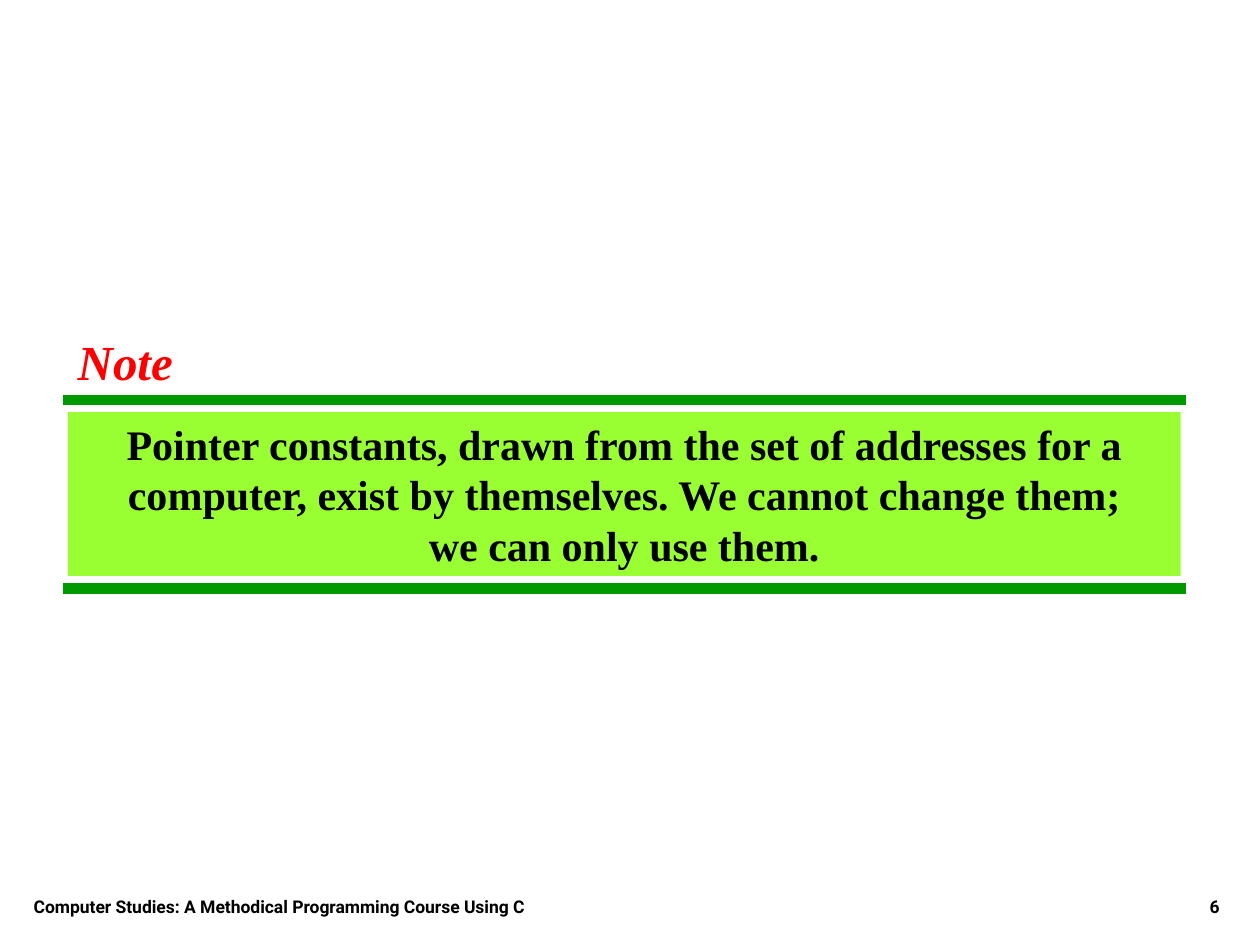
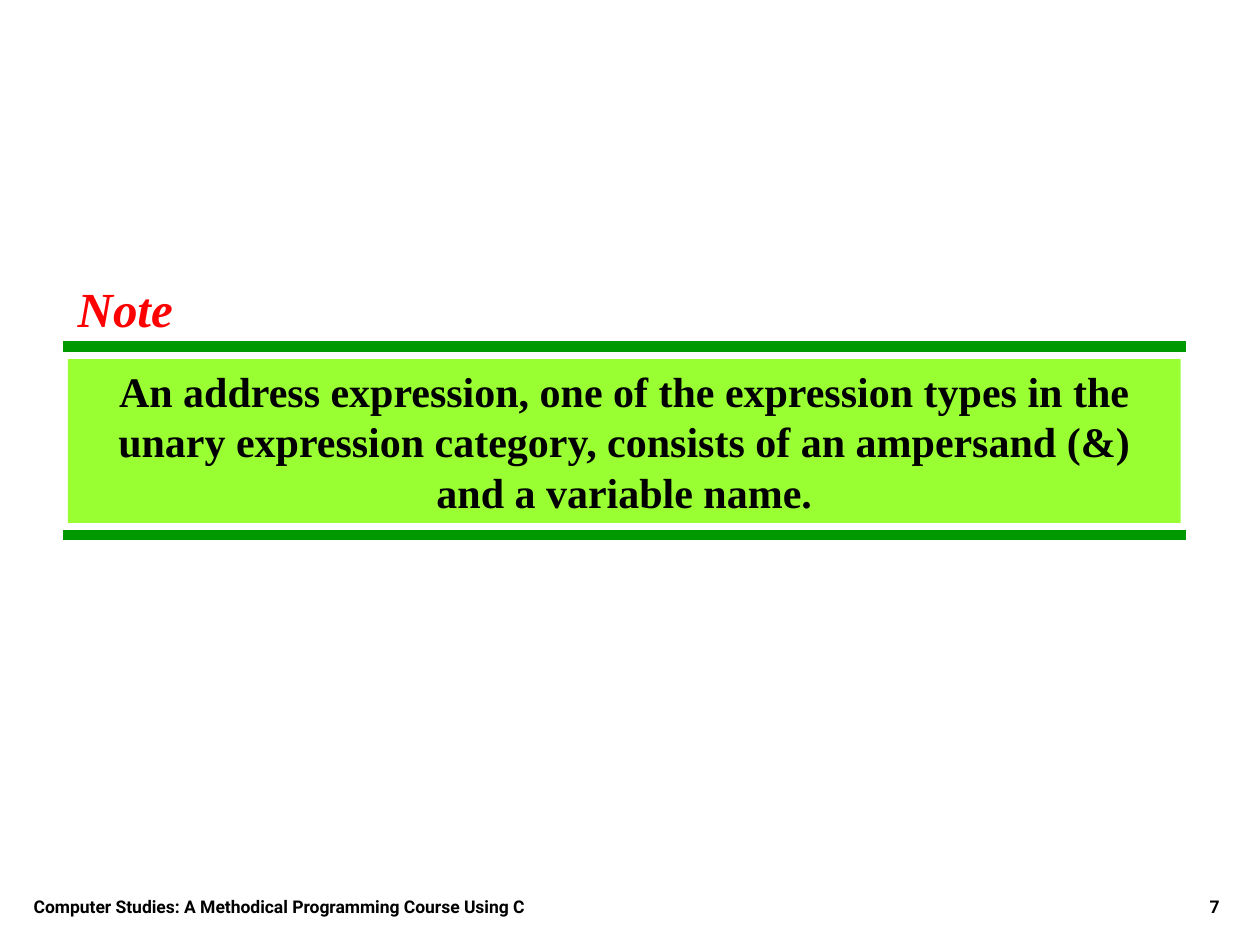
from dataclasses import dataclass

import pptx
import pptx.dml.color
import pptx.enum.shapes
import pptx.enum.text
import pptx.oxml.ns
import pptx.util
from lxml import etree

Cm = pptx.util.Cm
Align = pptx.enum.text.PP_ALIGN
Anchor = pptx.enum.text.MSO_ANCHOR

GREEN, LIME, RED, BLACK = "009900", "99FF33", "FF0000", "000000"
SERIF, SANS = "Times New Roman", "Roboto"
BOOK = "Computer Studies: A Methodical Programming Course Using C"
FIRST_NUMBER = 6
TITLE_ONLY = 5

RULE_LEFT, RULE_RIGHT, RULE_GAP = 1.27, 23.9, 0.25
STATEMENT_LEFT, STATEMENT_WIDTH, STATEMENT_HEIGHT = 1.37, 22.43, 3.3
HEADING_LEFT, HEADING_WIDTH, HEADING_HEIGHT, HEADING_RISE = 1.32, 2.41, 1.45, 1.75
FOOTER_TOP, FOOTER_HEIGHT = 17.35, 1.27


@dataclass(frozen=True)
class Note:
    """A highlighted statement and the top of its box in centimetres."""
    top: float
    paragraphs: tuple[str, ...]


@dataclass(frozen=True)
class FooterPart:
    left: float
    width: float
    align: Align


BOOK_PART = FooterPart(0.43, 14.4, Align.LEFT)
NUMBER_PART = FooterPart(19.56, 5.28, Align.RIGHT)

NOTES = (
    Note(8.31, (
        "Pointer constants, drawn from the set of addresses for a computer, "
        "exist by themselves. We cannot change them;",
        "we can only use them.",
    )),
    Note(7.24, (
        "An address expression, one of the expression types in the unary "
        "expression category, consists of an ampersand (&) and a variable name.",
    )),
)


def rgb(value: str) -> pptx.dml.color.RGBColor:
    return pptx.dml.color.RGBColor.from_string(value)


def write(shape, *paragraphs: str, size: float, font: str = SERIF,
          color: str = BLACK, italic: bool = False, align: Align = Align.CENTER,
          anchor: Anchor = Anchor.TOP, wrap: bool = True,
          side_margin: float = 0.25) -> None:
    """Fill a shape with bold paragraphs in one format."""
    frame = shape.text_frame
    frame.text = "\n".join(paragraphs)
    frame.word_wrap = wrap
    frame.auto_size = pptx.enum.text.MSO_AUTO_SIZE.NONE
    frame.vertical_anchor = anchor
    frame.margin_left = frame.margin_right = Cm(side_margin)
    for paragraph in frame.paragraphs:
        paragraph.alignment = align
        for run in paragraph.runs:
            run.font.name = font
            run.font.size = pptx.util.Pt(size)
            run.font.bold = True
            run.font.italic = italic
            run.font.color.rgb = rgb(color)


def add_rule(slide, y: float) -> None:
    rule = slide.shapes.add_connector(
        pptx.enum.shapes.MSO_CONNECTOR.STRAIGHT,
        Cm(RULE_LEFT), Cm(y), Cm(RULE_RIGHT), Cm(y))
    rule.line.color.rgb = rgb(GREEN)
    rule.line.width = pptx.util.Pt(6)
    properties = rule._element.spPr
    etree.SubElement(properties, pptx.oxml.ns.qn("a:effectLst"))


def add_heading(slide, top: float) -> None:
    heading = slide.shapes.title
    heading.left, heading.top = Cm(HEADING_LEFT), Cm(top)
    heading.width, heading.height = Cm(HEADING_WIDTH), Cm(HEADING_HEIGHT)
    write(heading, "Note", size=28, color=RED, italic=True, wrap=False,
          side_margin=0.1)


def add_statement(slide, note: Note) -> None:
    statement = slide.shapes.add_shape(
        pptx.enum.shapes.MSO_SHAPE.RECTANGLE, Cm(STATEMENT_LEFT), Cm(note.top),
        Cm(STATEMENT_WIDTH), Cm(STATEMENT_HEIGHT))
    statement.shadow.inherit = False
    statement.fill.solid()
    statement.fill.fore_color.rgb = rgb(LIME)
    statement.line.fill.background()
    write(statement, *note.paragraphs, size=24)


def add_footer(slide, part: FooterPart, text: str) -> None:
    footer = slide.shapes.add_textbox(
        Cm(part.left), Cm(FOOTER_TOP), Cm(part.width), Cm(FOOTER_HEIGHT))
    write(footer, text, size=10, font=SANS, align=part.align, anchor=Anchor.BOTTOM)


def add_note_slide(deck, note: Note, number: int) -> None:
    slide = deck.slides.add_slide(deck.slide_layouts[TITLE_ONLY])
    add_rule(slide, note.top - RULE_GAP)
    add_rule(slide, note.top + STATEMENT_HEIGHT + RULE_GAP)
    add_statement(slide, note)
    add_heading(slide, note.top - HEADING_RISE)
    add_footer(slide, BOOK_PART, BOOK)
    add_footer(slide, NUMBER_PART, str(number))


def main() -> None:
    deck = pptx.Presentation()
    deck.slide_width, deck.slide_height = Cm(25.4), Cm(19.05)
    for number, note in enumerate(NOTES, start=FIRST_NUMBER):
        add_note_slide(deck, note, number)
    deck.save("out.pptx")


if __name__ == "__main__":
    main()
